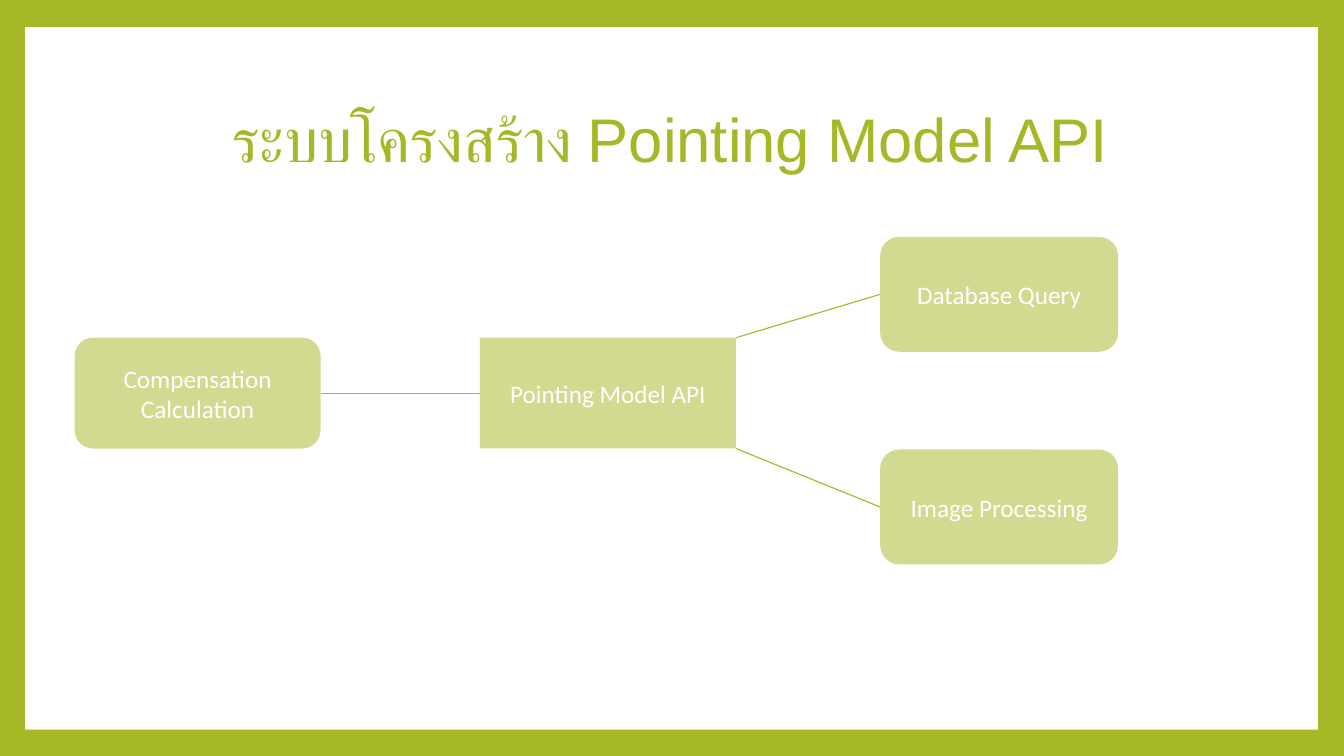
"""Build the Pointing Model API structure slide."""
from lxml.etree import SubElement
from pptx import Presentation
from pptx.dml.color import RGBColor
from pptx.enum.shapes import MSO_CONNECTOR as Connector, MSO_SHAPE as Shape
from pptx.enum.text import MSO_ANCHOR as Anchor, MSO_AUTO_SIZE as AutoSize, PP_ALIGN as Align
from pptx.oxml.ns import qn
from pptx.util import Inches, Pt

COLORS = {"green": "A6B727", "white": "FFFFFF"}
TITLE = "ระบบโครงสร้าง Pointing Model API"
TITLE_AREA = (1.25, 0.67, 10.8, 1.48)
PANEL_AREA = (0.25, 0.27, 12.82, 6.97)
BOXES = {
    "Database Query": (Shape.ROUNDED_RECTANGLE, 8.73, 2.35, 2.36, 1.14),
    "Pointing Model API": (Shape.RECTANGLE, 4.76, 3.35, 2.54, 1.1),
    "Image Processing": (Shape.ROUNDED_RECTANGLE, 8.73, 4.46, 2.36, 1.14),
    "Compensation Calculation": (Shape.ROUNDED_RECTANGLE, 0.74, 3.35, 2.44, 1.1),
}
LINKS = [
    ("Database Query", (0, 0.5), "Pointing Model API", (1, 0)),
    ("Image Processing", (0, 0.5), "Pointing Model API", (1, 1)),
    ("Compensation Calculation", (1, 0.5), "Pointing Model API", (0, 0.5)),
]


def color(name):
    return RGBColor.from_string(COLORS[name])


def write(frame, text, size, font, color_name):
    frame.text = text
    frame.word_wrap = True
    frame.auto_size = AutoSize.NONE
    frame.vertical_anchor = Anchor.MIDDLE
    para = frame.paragraphs[0]
    para.alignment = Align.CENTER
    span = para.runs[0]
    span.font.size = Pt(size)
    span.font.name = font
    span.font.color.rgb = color(color_name)
    return para


def add_filled(slide, kind, area, color_name):
    shape = slide.shapes.add_shape(kind, *map(Inches, area))
    shape.shadow.inherit = False
    shape.fill.solid()
    shape.fill.fore_color.rgb = color(color_name)
    shape.line.fill.background()
    return shape


def add_box(slide, label, kind, area):
    box = add_filled(slide, kind, area, "green")
    fill_color = box.fill._xPr.find(qn("a:solidFill"))[0]
    SubElement(fill_color, qn("a:alpha"), val="50000")
    write(box.text_frame, label, 18, "Calibri", "white")
    return box


def point_on(box, across, down):
    return int(box.left + across * box.width), int(box.top + down * box.height)


def add_link(slide, start, end):
    link = slide.shapes.add_connector(Connector.STRAIGHT, *start, *end)
    link.line.color.rgb = color("green")
    link.line.width = Pt(0.79)
    SubElement(link._element.spPr, qn("a:effectLst"))


def main():
    deck = Presentation()
    deck.slide_width, deck.slide_height = Inches(13.33), Inches(7.5)
    slide = deck.slides.add_slide(deck.slide_layouts[5])
    slide.background.fill.solid()
    slide.background.fill.fore_color.rgb = color("green")

    panel = add_filled(slide, Shape.RECTANGLE, PANEL_AREA, "white")
    title = slide.shapes.title
    title.left, title.top, title.width, title.height = map(Inches, TITLE_AREA)
    write(title.text_frame, TITLE, 44, "Arial", "green").line_spacing = 0.9
    title._element.addprevious(panel._element)

    boxes = {
        label: add_box(slide, label, kind, area)
        for label, (kind, *area) in BOXES.items()
    }
    for source, source_spot, target, target_spot in LINKS:
        add_link(slide, point_on(boxes[source], *source_spot),
                 point_on(boxes[target], *target_spot))
    deck.save("out.pptx")


if __name__ == "__main__":
    main()
